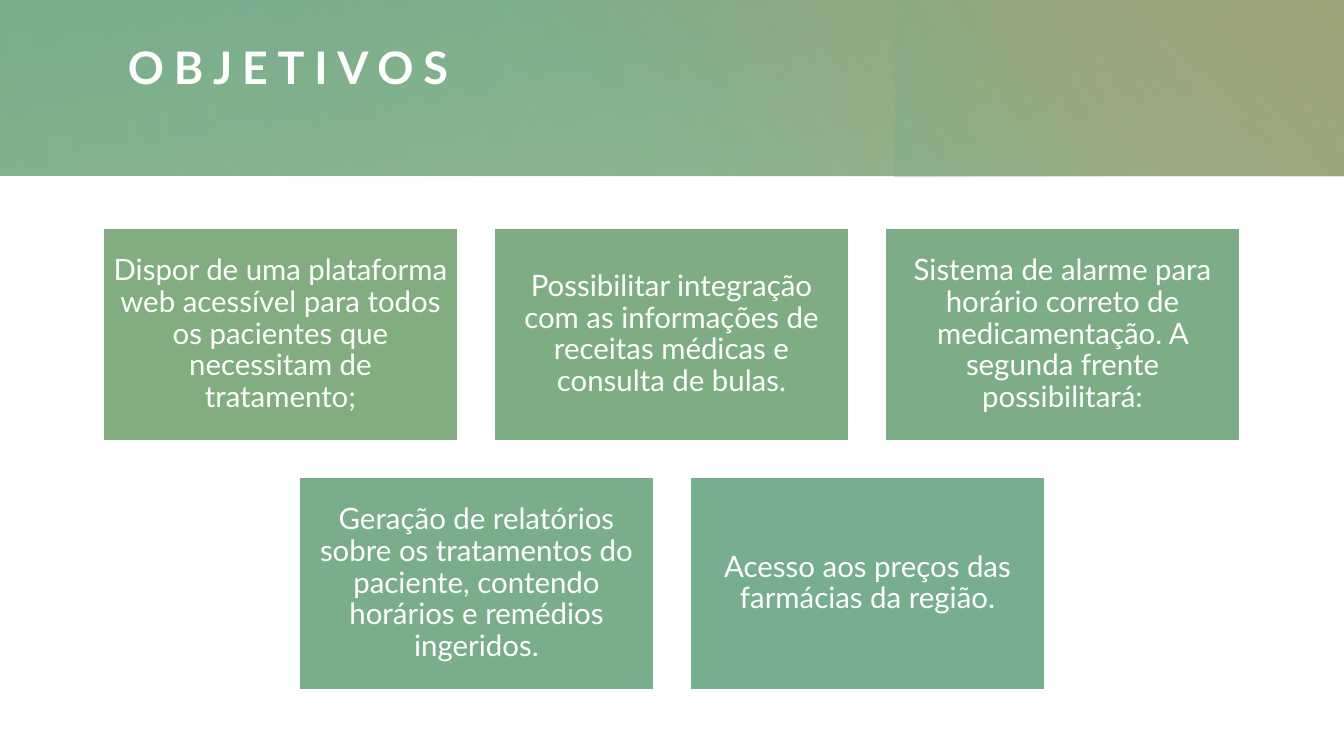
from lxml import etree
from pptx import Presentation
from pptx import util as u
from pptx.dml.color import RGBColor
from pptx.enum import shapes, text
from pptx.oxml.ns import qn

SCALE = 914400 / 100.8
WIDE, HIGH = 1344, 756
BAND = 176
FONT = "Lato"
HEX = {
    "white": "FFFFFF", "leaf": "81AD81", "lime": "8BAB75",
    "sand": "AEA077", "teal": "77AE8E",
    "box1": "81AD81", "box2": "7FAD83", "box3": "7CAD86",
    "box4": "7AAE8A", "box5": "77AE8E",
}

# left, top, width, height, rotation, angle, (position, colour, opacity) twice
LAYERS = [
    (0, 0, WIDE, BAND, 0, 260, (0, "leaf", 83), (100, "teal", 100)),
    (485, 1, 859, 175, 0, 310, (22, "sand", 0), (99, "sand", 100)),
    (995, -100, 176, 377, 270, 250, (45, "lime", 0), (99, "teal", 33)),
    (270, 0, 1073, BAND, 180, 330, (0, "leaf", 30), (99, "leaf", 0)),
    (0, 0, 872, BAND, 0, 340, (0, "leaf", 21), (99, "leaf", 0)),
]

GOALS = [
    ["Dispor de uma plataforma web acessível para todos os pacientes que "
     "necessitam de tratamento;",
     "Possibilitar integração com as informações de receitas médicas e "
     "consulta de bulas.",
     "Sistema de alarme para horário correto de medicamentação. A segunda "
     "frente possibilitará:"],
    ["Geração de relatórios sobre os tratamentos do paciente, contendo "
     "horários e remédios ingeridos.",
     "Acesso aos preços das farmácias da região."],
]
BOX_W, BOX_H, GAP, TOP = 355, 213, 36, 228


def px(n):
    return u.Emu(round(n * SCALE))


def rgb(name):
    return RGBColor.from_string(HEX[name])


class Deck:
    def __init__(self):
        self.prs = Presentation()
        self.prs.slide_width, self.prs.slide_height = px(WIDE), px(HIGH)
        self.slide = self.prs.slides.add_slide(self.prs.slide_layouts[5])

    def rect(self, left, top, width, height):
        shape = self.slide.shapes.add_shape(
            shapes.MSO_SHAPE.RECTANGLE, *map(px, (left, top, width, height)))
        shape.shadow.inherit = False
        return shape

    def layer(self, left, top, width, height, turn, angle, *stops):
        """Add a borderless rectangle with a see-through, clockwise gradient."""
        shape = self.rect(left, top, width, height)
        shape.rotation = turn
        shape.line.fill.background()
        shape.fill.gradient()
        shape.fill.gradient_angle = 360 - angle
        for stop, (pos, name, _) in zip(shape.fill.gradient_stops, stops):
            stop.position = pos / 100
            stop.color.rgb = rgb(name)
        colors = shape._element.spPr.iter(qn("a:srgbClr"))
        for color, (_, _, alpha) in zip(colors, stops):
            etree.SubElement(color, qn("a:alpha"), val=str(alpha * 1000))

    def label(self, shape, words, size, align, anchor, inset):
        """Set the words of a shape and return their font."""
        frame = shape.text_frame
        frame.text = words
        frame.word_wrap = True
        frame.auto_size = text.MSO_AUTO_SIZE.NONE
        frame.vertical_anchor = anchor
        frame.margin_left = frame.margin_right = px(inset)
        frame.margin_top = frame.margin_bottom = px(inset)
        para = frame.paragraphs[0]
        para.alignment = align
        para.line_spacing = 0.9
        para.font.name, para.font.size = FONT, u.Pt(size)
        para.font.color.rgb = rgb("white")
        return para.font

    def title(self, words):
        shape = self.slide.shapes.title
        shape.left, shape.top, shape.width, shape.height = map(
            px, (128, 46, 1144, 97))
        font = self.label(shape, words, 32, text.PP_ALIGN.LEFT,
                          text.MSO_ANCHOR.TOP, 0)
        font.bold = True
        font._element.set("spc", "700")
        # bring the title in front of the band
        self.slide.shapes._spTree.append(shape._element)

    def box(self, left, top, words, name):
        shape = self.rect(left, top, BOX_W, BOX_H)
        shape.fill.solid()
        shape.fill.fore_color.rgb = rgb(name)
        shape.line.color.rgb = rgb("white")
        shape.line.width = u.Pt(1)
        self.label(shape, words, 21, text.PP_ALIGN.CENTER,
                   text.MSO_ANCHOR.MIDDLE, 9)


def main():
    deck = Deck()
    for layer in LAYERS:
        deck.layer(*layer)
    deck.title("OBJETIVOS")
    count = 0
    for row, goals in enumerate(GOALS):
        wide = len(goals) * (BOX_W + GAP) - GAP
        for col, words in enumerate(goals):
            count += 1
            deck.box((WIDE - wide) // 2 + col * (BOX_W + GAP),
                     TOP + row * (BOX_H + GAP), words, f"box{count}")
    deck.prs.save("out.pptx")


if __name__ == "__main__":
    main()
